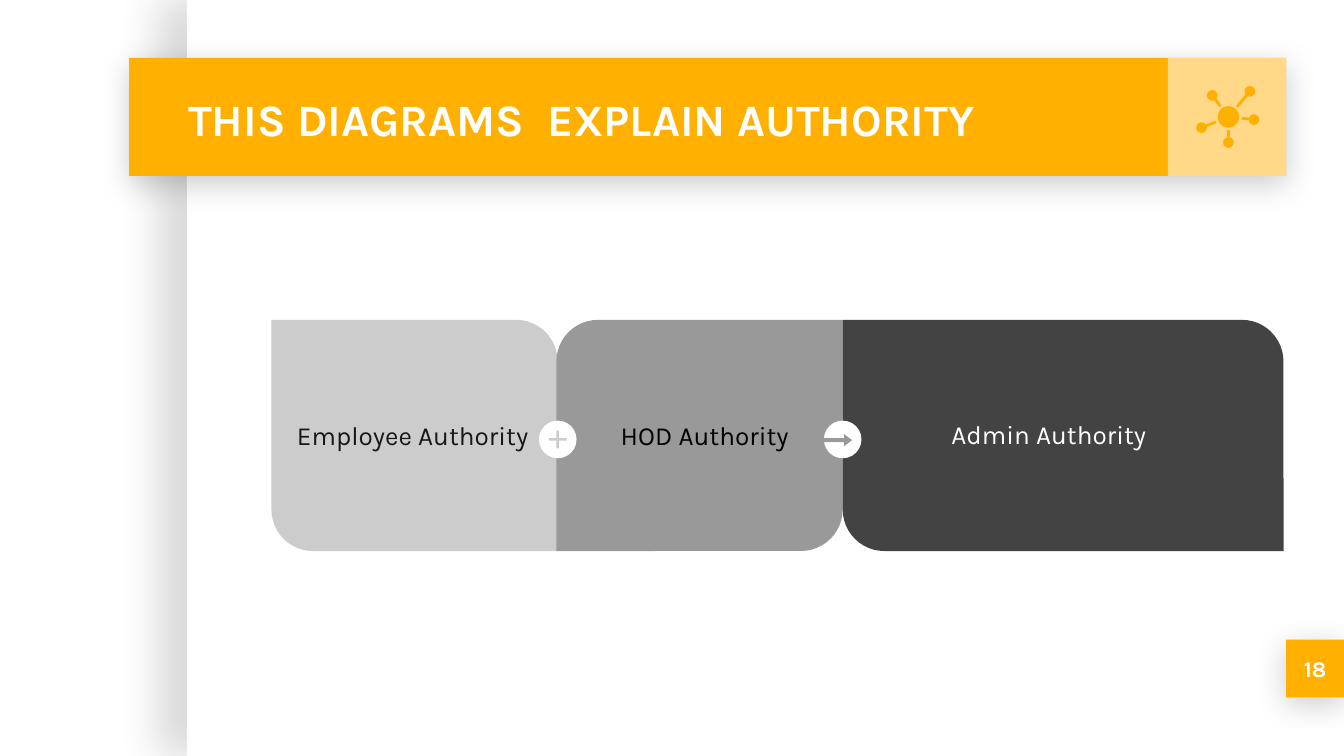
from math import hypot
from lxml.etree import SubElement as Sub
from pptx import Presentation
from pptx.dml.color import RGBColor
from pptx.enum.shapes import MSO_CONNECTOR as Line, MSO_SHAPE as Kind
from pptx.enum.text import MSO_ANCHOR as Anchor, MSO_AUTO_SIZE as Fit, PP_ALIGN as Align
from pptx.oxml.ns import qn
from pptx.util import Inches, Pt

WIDE = 10
HIGH = WIDE * 9 / 16
AMBER, WHITE, GREY = "FFB000", "FFFFFF", "999999"
SOFT = dict(alpha=20, blur=16.9, dist=3.8, angle=90)
HUB = (9.14, 0.87)
NODES = [(9.3, 0.68), (9.02, 0.71), (8.94, 0.95), (9.14, 1.06), (9.33, 0.89)]


def paint(color, value):
    color.rgb = RGBColor.from_string(value)


def shade(shape, alpha, blur, dist, angle):
    """Add a soft black outer shadow; blur and distance are in points."""
    effects = shape.element.spPr.find(qn("a:effectLst"))
    outer = Sub(effects, qn("a:outerShdw"), blurRad=str(Pt(blur)), dist=str(Pt(dist)),
                dir=str(angle * 60000), algn="bl", rotWithShape="0")
    black = Sub(outer, qn("a:srgbClr"), val="000000")
    Sub(black, qn("a:alpha"), val=str(alpha * 1000))


def add_shape(home, kind, box, fill, adj=(), alpha=None, shadow=None):
    shape = home.add_shape(kind, *map(Inches, box))
    for i, value in enumerate(adj):
        shape.adjustments[i] = value
    shape.fill.solid()
    paint(shape.fill.fore_color, fill)
    shape.line.fill.background()
    shape.shadow.inherit = False
    if alpha:
        color = shape.element.spPr.find(qn("a:solidFill"))[0]
        Sub(color, qn("a:alpha"), val=str(alpha * 1000))
    if shadow:
        shade(shape, **shadow)
    return shape


def add_dot(home, center, radius, fill):
    x, y = center
    add_shape(home, Kind.OVAL, (x - radius, y - radius, 2 * radius, 2 * radius), fill)


def write(shape, text, size, color, bold=False, align=Align.LEFT, pad=0.1):
    frame = shape.text_frame
    margins = dict(margin_left=0.1, margin_right=0.1, margin_top=pad, margin_bottom=pad)
    for name, value in margins.items():
        setattr(frame, name, Inches(value))
    form = dict(word_wrap=True, auto_size=Fit.NONE, vertical_anchor=Anchor.MIDDLE)
    for name, value in form.items():
        setattr(frame, name, value)
    par = frame.paragraphs[0]
    par.alignment = align
    run = par.add_run()
    run.text = text
    for name, value in dict(name="Karla", size=Pt(size), bold=bold).items():
        setattr(run.font, name, value)
    paint(run.font.color, color)


def add_label(home, box, text, color):
    write(home.add_textbox(*map(Inches, box)), text, 14, color, pad=0.05)


def add_title(slide, text):
    title = slide.shapes.title
    box = dict(left=1.3, top=0.44, width=7.37, height=0.88)
    for name, value in box.items():
        setattr(title, name, Inches(value))
    write(title, text, 24, WHITE, bold=True)
    slide.shapes.element.append(title.element)  # in front of the banner


def add_spoke(home, node):
    """Draw a line from just outside the hub to the node."""
    dx, dy = node[0] - HUB[0], node[1] - HUB[1]
    part = 0.1 / hypot(dx, dy)
    start = HUB[0] + part * dx, HUB[1] + part * dy
    spoke = home.add_connector(Line.STRAIGHT, *map(Inches, start + node))
    spoke.line.width = Pt(1.5)
    paint(spoke.line.color, AMBER)
    Sub(spoke.element.spPr, qn("a:effectLst"))


def add_icon(shapes):
    icon = shapes.add_group_shape().shapes
    for node in NODES:
        add_spoke(icon, node)
        add_dot(icon, node, 0.04, AMBER)
    add_dot(icon, HUB, 0.08, AMBER)


def add_badge(shapes, x, kind, box, adj, fill):
    badge = shapes.add_group_shape().shapes
    add_dot(badge, (x, 3.27), 0.14, WHITE)
    add_shape(badge, kind, box, fill, adj)


def add_frame(slide):
    shapes = slide.shapes
    add_shape(shapes, Kind.RECTANGLE, (1.39, 0, 8.61, HIGH), WHITE,
              shadow=dict(alpha=15, blur=22.5, dist=15, angle=180))
    page = add_shape(shapes, Kind.RECTANGLE, (9.57, 4.76, 0.43, 0.43), AMBER, shadow=SOFT)
    write(page, "18", 12, WHITE, bold=True, align=Align.CENTER)
    add_shape(shapes, Kind.RECTANGLE, (0.96, 0.43, 8.61, 0.88), AMBER, shadow=SOFT)
    add_shape(shapes, Kind.RECTANGLE, (8.69, 0.43, 0.88, 0.88), WHITE, alpha=53)
    add_title(slide, "THIS DIAGRAMS  EXPLAIN AUTHORITY")
    add_icon(shapes)


def add_flow(shapes):
    steps = [(2.02, 2.13, "CCCCCC", (0, 0.18)), (4.14, 2.13, GREY, (0.18, 0)),
             (6.27, 3.28, "434343", (0, 0.18))]
    cards = [add_shape(shapes, Kind.ROUND_2_DIAG_RECTANGLE, (x, 2.38, wide, 1.72), fill, adj)
             for x, wide, fill, adj in steps]
    write(cards[0], "Employee Authority", 14, "181818")
    add_badge(shapes, 6.27, Kind.RIGHT_ARROW, (6.12, 3.23, 0.22, 0.09), (0.32, 0.67), GREY)
    add_badge(shapes, 4.15, Kind.MATH_PLUS, (4.06, 3.18, 0.18, 0.18), (0.1,), "CCCCCC")
    add_label(shapes, (4.52, 3.07, 1.62, 0.34), "HOD Authority", "000000")
    add_label(shapes, (6.98, 3.06, 1.73, 0.34), "Admin Authority", WHITE)


def main():
    deck = Presentation()
    deck.slide_width, deck.slide_height = Inches(WIDE), Inches(HIGH)
    slide = deck.slides.add_slide(deck.slide_layouts[5])
    add_frame(slide)
    add_flow(slide.shapes)
    deck.save("out.pptx")


if __name__ == "__main__":
    main()
